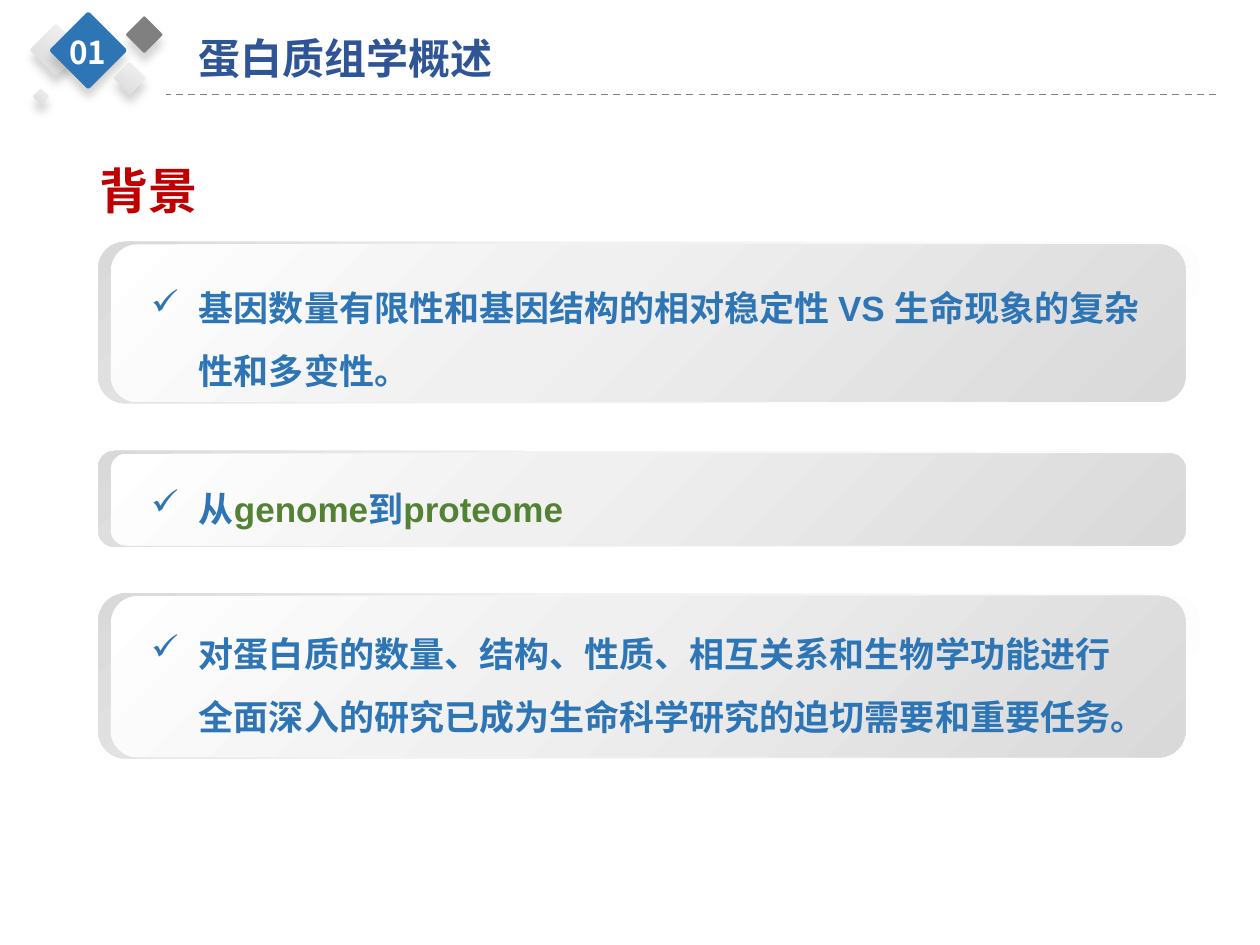
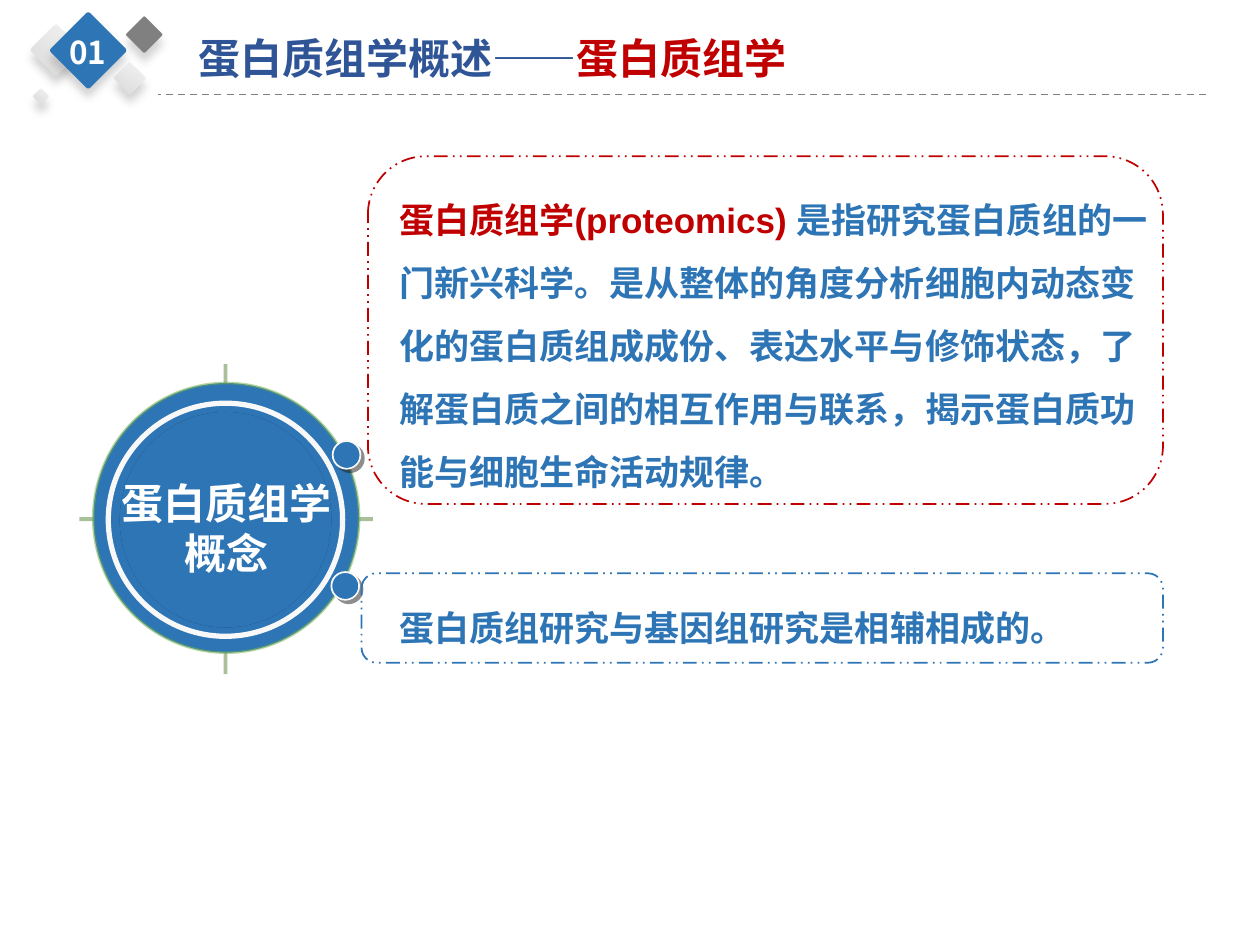
import pptx
import pptx.util
import pptx.dml.color
import pptx.enum.dml
import pptx.enum.shapes
import pptx.enum.text
import pptx.oxml
import pptx.oxml.ns
from pptx.util import Inches

BLUE, NAVY, RED, GREEN = "2E75B6", "2F5597", "C00000", "548235"
GRAY, WHITE, RIM = "808080", "FFFFFF", "F8F8F8"
SANS, LATIN, CIRCLE_FONT = "Noto Sans CJK SC", "Arial", "Calibri"
PALE = [(0, "F2F2F2"), (100, "DBDBDB")]
CARD_BACK = [(0, "FFFFFF"), (62, "F2F2F2"), (100, "D9D9D9")]
CARD_FRONT = [(0, "FFFFFF"), (42, "F0F0F0"), (100, "D9D9D9")]
DIAMOND_SHADOW = ("595959", 25, 5, 5, 90)
BEAD_SHADOW = ("1C1C1C", 50, 0, 2.8, 45)

SHAPE = pptx.enum.shapes.MSO_SHAPE
DASH = pptx.enum.dml.MSO_LINE
ALIGN = pptx.enum.text.PP_ALIGN
ANCHOR = pptx.enum.text.MSO_ANCHOR
A = pptx.oxml.ns.nsdecls("a")
qn = pptx.oxml.ns.qn


def rgb(value):
    return pptx.dml.color.RGBColor.from_string(value)


def xml(markup):
    """Parse one element whose tag ends with a '{A}' namespace mark."""
    return pptx.oxml.parse_xml(markup.replace("{A}", A))


def set_line(line, color, width, dash=None, alpha=None):
    line.color.rgb = rgb(color)
    line.width = pptx.util.Pt(width)
    if dash:
        line.dash_style = dash
    if alpha:
        color_element = line.fill._xPr.find(".//" + qn("a:srgbClr"))
        color_element.append(xml(f'<a:alpha {{A}} val="{alpha * 1000}"/>'))


def add_shadow(shape, color, alpha, blur, distance, angle):
    shape._element.spPr.find(qn("a:effectLst")).append(xml(
        f'<a:outerShdw {{A}} blurRad="{blur * 12700}" '
        f'dist="{round(distance * 12700)}" dir="{angle * 60000}" '
        f'algn="ctr" rotWithShape="0"><a:srgbClr val="{color}">'
        f'<a:alpha val="{alpha * 1000}"/></a:srgbClr></a:outerShdw>'))


def set_gradient(shape, stops, angle):
    shape.fill.gradient()
    shape.fill.gradient_angle = angle
    stop_list = shape._element.spPr.find(".//" + qn("a:gsLst"))
    for old_stop in list(stop_list):
        stop_list.remove(old_stop)
    for position, color in stops:
        stop_list.append(xml(f'<a:gs {{A}} pos="{position * 1000}">'
                             f'<a:srgbClr val="{color}"/></a:gs>'))


def add_figure(slide, preset, box, fill=None, angle=0, line=None, shadow=None):
    """Add a preset shape; fill is a hex colour, a list of stops or None."""
    shape = slide.shapes.add_shape(preset, *map(Inches, box))
    shape.shadow.inherit = False
    if fill is None:
        shape.fill.background()
    elif isinstance(fill, str):
        shape.fill.solid()
        shape.fill.fore_color.rgb = rgb(fill)
    else:
        set_gradient(shape, fill, angle)
    if line:
        set_line(shape.line, *line)
    else:
        shape.line.fill.background()
    if shadow:
        add_shadow(shape, *shadow)
    return shape


def add_rule(slide, start, end, *line):
    rule = slide.shapes.add_connector(
        pptx.enum.shapes.MSO_CONNECTOR.STRAIGHT, *map(Inches, start + end))
    rule._element.spPr.append(xml("<a:effectLst {A}/>"))
    set_line(rule.line, *line)


def write(paragraph, runs, size, font=LATIN, spacing=1, align=ALIGN.LEFT):
    """Fill a paragraph with (text, colour) runs, a line being 1.2 em high."""
    layout = {"alignment": align,
              "line_spacing": pptx.util.Pt(round(size * 1.2 * spacing, 1))}
    for name, value in layout.items():
        setattr(paragraph, name, value)
    face = {"name": font, "size": pptx.util.Pt(size), "bold": True}
    for text, color in runs:
        run = paragraph.add_run()
        run.text = text
        run.font.color.rgb = rgb(color)
        for name, value in face.items():
            setattr(run.font, name, value)
        run._r.get_or_add_rPr().append(
            xml(f'<a:ea {{A}} typeface="{SANS}"/>'))


def add_text(slide, box, runs, size, bullet=None, **style):
    frame = slide.shapes.add_textbox(*map(Inches, box)).text_frame
    frame.word_wrap = True
    paragraph = frame.paragraphs[0]
    if bullet:
        properties = paragraph._p.get_or_add_pPr()
        properties.set("marL", str(Inches(0.38)))
        properties.set("indent", str(-Inches(0.38)))
        properties.append(xml(f'<a:buChar {{A}} char="{bullet}"/>'))
    write(paragraph, runs, size, **style)


def add_header(slide, title_runs, rule_left, rule_right):
    diamonds = [(0.3, 0.25, 0.29, PALE), (0.48, 0.18, 0.44, BLUE),
                (1.04, 0.17, 0.21, GRAY), (0.94, 0.53, 0.18, PALE),
                (0.28, 0.72, 0.09, PALE)]
    for left, top, side, fill in diamonds:
        diamond = add_figure(slide, SHAPE.ROUNDED_RECTANGLE,
                             (left, top, side, side), fill, 280,
                             shadow=DIAMOND_SHADOW)
        diamond.adjustments[0] = 0.05
        diamond.rotation = 45
    add_text(slide, (0.44, 0.21, 0.51, 0.4), [("01", WHITE)], 18,
             font=SANS, align=ALIGN.CENTER)
    add_rule(slide, (rule_right, 0.75), (rule_left, 0.75), GRAY, 1, DASH.DASH)
    add_text(slide, (1.48, 0.21, 7.5, 0.5), title_runs, 24, font=SANS)


def add_card(slide, top, height, text_top, runs):
    add_figure(slide, SHAPE.ROUNDED_RECTANGLE, (0.78, top, 8.74, height),
               CARD_BACK, 135)
    add_figure(slide, SHAPE.ROUNDED_RECTANGLE,
               (0.88, top + 0.02, 8.53, height - 0.03), CARD_FRONT, 315)
    add_text(slide, (1.1, text_top, 8.09, height - 0.2), runs, 20,
             bullet="✓", spacing=1.5)


def add_concept_wheel(slide, lines):
    for start, end in [((0.63, 4.12), (2.96, 4.12)),
                       ((1.79, 2.89), (1.79, 5.35))]:
        add_rule(slide, start, end, GREEN, 2.25, None, 50)
    rings = [((0.86, 3.17, 1.87, 1.89), (GREEN, 0.75, None, 50), None),
             ((0.74, 3.04, 2.11, 2.14), ("70AD47", 1.5, None, 50), None),
             ((0.86, 3.2, 1.86, 1.85), (RIM, 3), None),
             ((0.95, 3.27, 1.68, 1.71), None, ("000000", 50, 0, 0, 0))]
    for box, line, shadow in rings:
        add_figure(slide, SHAPE.OVAL, box, BLUE, line=line, shadow=shadow)
    frame = add_figure(slide, SHAPE.OVAL, (1.34, 3.72, 0.92, 0.94),
                       BLUE).text_frame
    frame.word_wrap = False
    frame.vertical_anchor = ANCHOR.MIDDLE
    for index, line in enumerate(lines):
        paragraph = frame.add_paragraph() if index else frame.paragraphs[0]
        write(paragraph, [(line, WHITE)], 24, font=CIRCLE_FONT,
              align=ALIGN.CENTER)
    for left, top in [(2.64, 3.5), (2.63, 4.54)]:
        add_figure(slide, SHAPE.OVAL, (left, top, 0.22, 0.22), BLUE,
                   line=(RIM, 1), shadow=BEAD_SHADOW)
        add_figure(slide, SHAPE.OVAL, (left + 0.02, top + 0.02, 0.19, 0.19),
                   BLUE)


def add_note(slide, frame_box, text_box, color, runs):
    """Add a dash-dotted frame and the text set in it."""
    add_text(slide, text_box, runs, 20, spacing=1.5)
    add_figure(slide, SHAPE.ROUNDED_RECTANGLE, frame_box,
               line=(color, 1, DASH.DASH_DOT_DOT))


def build_background(slide):
    add_header(slide, [("蛋白质组学概述", NAVY)], 1.32, 9.65)
    add_text(slide, (0.69, 0.99, 8.09, 0.72), [("背景", RED)], 28, spacing=1.5)
    add_card(slide, 1.92, 1.28, 2.06, [
        ("基因数量有限性和基因结构的相对稳定性 VS 生命现象的复杂性和多变性。",
         BLUE)])
    add_card(slide, 3.58, 0.76, 3.65, [
        ("从", BLUE), ("genome", GREEN), ("到", BLUE), ("proteome", GREEN)])
    add_card(slide, 4.71, 1.31, 4.8, [
        ("对蛋白质的数量、结构、性质、相互关系和生物学功能进行全面深入的研究"
         "已成为生命科学研究的迫切需要和重要任务。", BLUE)])


def build_concept(slide):
    add_header(slide, [("蛋白质组学概述——", NAVY), ("蛋白质组学", RED)],
               1.25, 9.57)
    add_concept_wheel(slide, ["蛋白质组学", "概念"])
    add_note(slide, (2.92, 1.24, 6.31, 2.76), (3.07, 1.36, 6.16, 2.57), RED, [
        ("蛋白质组学(proteomics) ", RED),
        ("是指研究蛋白质组的一门新兴科学。是从整体的角度分析细胞内动态变化的"
         "蛋白质组成成份、表达水平与修饰状态，了解蛋白质之间的相互作用与联系，"
         "揭示蛋白质功能与细胞生命活动规律。", BLUE)])
    add_note(slide, (2.87, 4.55, 6.36, 0.71), (3.07, 4.6, 6.25, 0.55), BLUE,
             [("蛋白质组研究与基因组研究是相辅相成的。", BLUE)])


def main():
    deck = pptx.Presentation()
    deck.slide_width, deck.slide_height = Inches(10), Inches(7.5)
    for build in (build_background, build_concept):
        build(deck.slides.add_slide(deck.slide_layouts[6]))
    deck.save("out.pptx")


if __name__ == "__main__":
    main()
